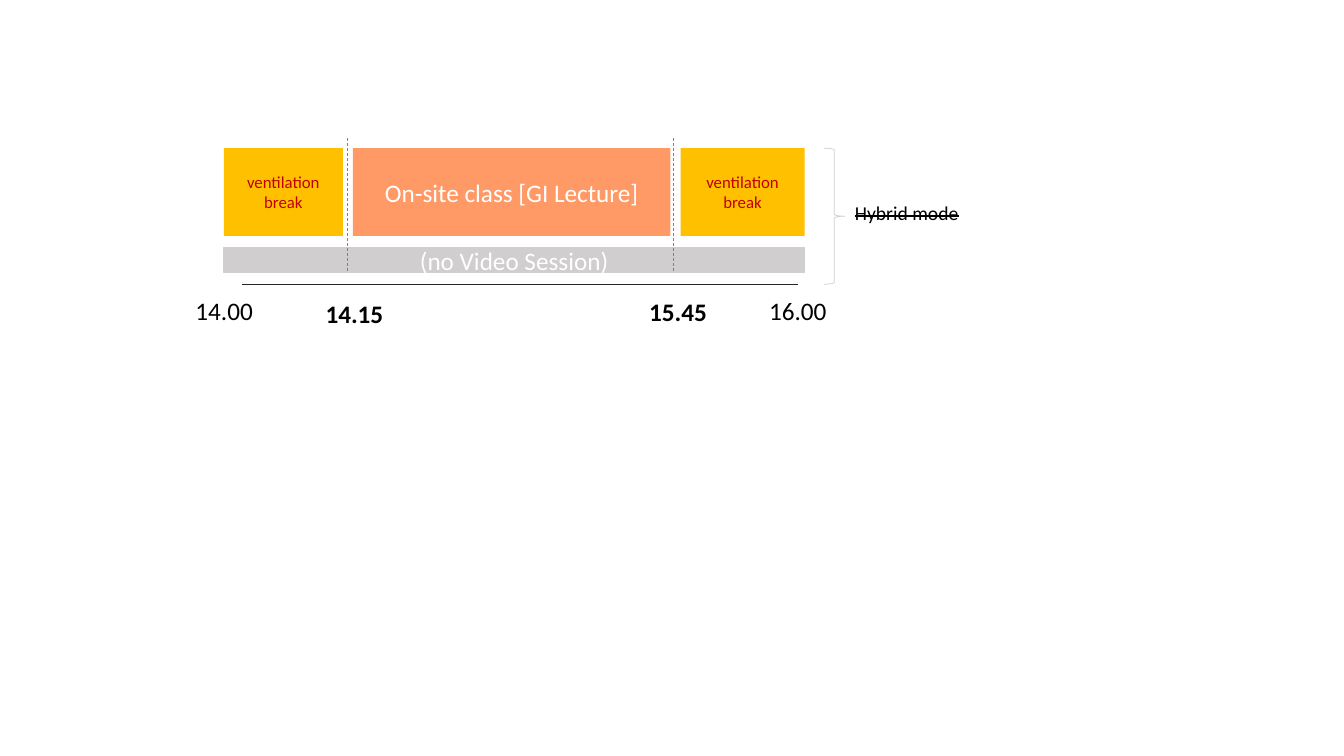
from lxml.etree import SubElement
from pptx import Presentation
from pptx.dml.color import RGBColor as RGB
from pptx.enum.dml import MSO_LINE as Dash
from pptx.enum.shapes import MSO_CONNECTOR as Link, MSO_SHAPE as Shape
from pptx.enum.text import MSO_ANCHOR as Anchor, MSO_AUTO_SIZE as Auto, PP_ALIGN as Align
from pptx.oxml.ns import qn
from pptx.util import Inches, Pt

COLORS = {
    "break": "FFC000", "warn": "C00000", "class": "FF9966", "bar": "D0CECE",
    "axis": "262626", "mark": "808080", "light": "FFFFFF", "dark": "000000",
}
FONT = "Calibri"


def color(name):
    return RGB.from_string(COLORS[name])


def write(frame, text, size, tone, bold=None):
    frame.text = text
    font = frame.paragraphs[0].runs[0].font
    font.name, font.size, font.bold = FONT, Pt(size), bold
    font.color.rgb = color(tone)


def add_block(slide, box, fill, text, size, tone):
    block = slide.shapes.add_shape(Shape.RECTANGLE, *map(Inches, box))
    block.shadow.inherit = False
    block.fill.solid()
    block.fill.fore_color.rgb = color(fill)
    block.line.fill.background()
    frame = block.text_frame
    frame.word_wrap = True
    frame.vertical_anchor = Anchor.MIDDLE
    write(frame, text, size, tone)
    frame.paragraphs[0].alignment = Align.CENTER
    return block


def add_label(slide, box, text, size=18, bold=None):
    frame = slide.shapes.add_textbox(*map(Inches, box)).text_frame
    frame.word_wrap = False
    frame.auto_size = Auto.SHAPE_TO_FIT_TEXT
    write(frame, text, size, "dark", bold)
    return frame


def add_line(slide, ends, tone, dash=None):
    line = slide.shapes.add_connector(Link.STRAIGHT, *map(Inches, ends))
    SubElement(line._element.spPr, qn("a:effectLst"))
    line.line.color.rgb = color(tone)
    line.line.width = Pt(0.5)
    if dash:
        line.line.dash_style = dash


def add_plan(slide, left, top, width, height):
    """Class blocks between two breaks, above a bar and a time axis."""
    base = top + height

    # Time axis
    add_line(slide, (left + 0.18, base, left + width - 0.07, base), "axis")
    for text, x, y, bold in [
        ("14.00", -0.38, 0.06, None), ("14.15", 0.91, 0.09, True),
        ("15.45", 4.12, 0.07, True), ("16.00", 5.31, 0.06, None),
    ]:
        add_label(slide, (left + x, base + y, 0.78, 0.4), text, bold=bold)

    # Class and breaks
    for x, wide, fill, text, size, tone in [
        (0, 1.18, "break", "ventilation break", 12, "warn"),
        (1.28, 3.15, "class", "On-site class [GI Lecture]", 18, "light"),
        (4.53, 1.23, "break", "ventilation break", 12, "warn"),
    ]:
        add_block(slide, (left + x, top, wide, 0.87), fill, text, size, tone)

    # Session bar
    bar = add_block(slide, (left, top + 0.99, width, 0.24), "bar",
                    "(no Video Session)", 18, "light")
    bar.line.color.rgb = color("bar")
    bar.line.width = Pt(1)

    # Dashed time marks
    for x in (left + 1.23, left + 4.46):
        add_line(slide, (x, top - 0.1, x, top + 1.23), "mark", Dash.DASH)


def add_mode(slide, left, top, width, height):
    """Brace with the struck-out mode beside it."""
    brace = slide.shapes.add_shape(
        Shape.RIGHT_BRACE, *map(Inches, (left, top, width, height)))
    brace.shadow.inherit = False
    brace.fill.background()
    brace.line.color.rgb = color("bar")
    brace.line.width = Pt(0.5)
    frame = add_label(slide, (left + width, top + 0.47, 1.24, 0.34), "Hybrid mode", 14)
    run = frame.paragraphs[0].runs[0]
    run._r.get_or_add_rPr().set("strike", "sngStrike")


def main():
    deck = Presentation()
    deck.slide_width, deck.slide_height = Inches(13.33), Inches(7.5)
    slide = deck.slides.add_slide(deck.slide_layouts[6])
    add_plan(slide, 2.22, 1.47, 5.76, 1.35)
    add_mode(slide, 8.17, 1.47, 0.21, 1.35)
    deck.save("out.pptx")


if __name__ == "__main__":
    main()
